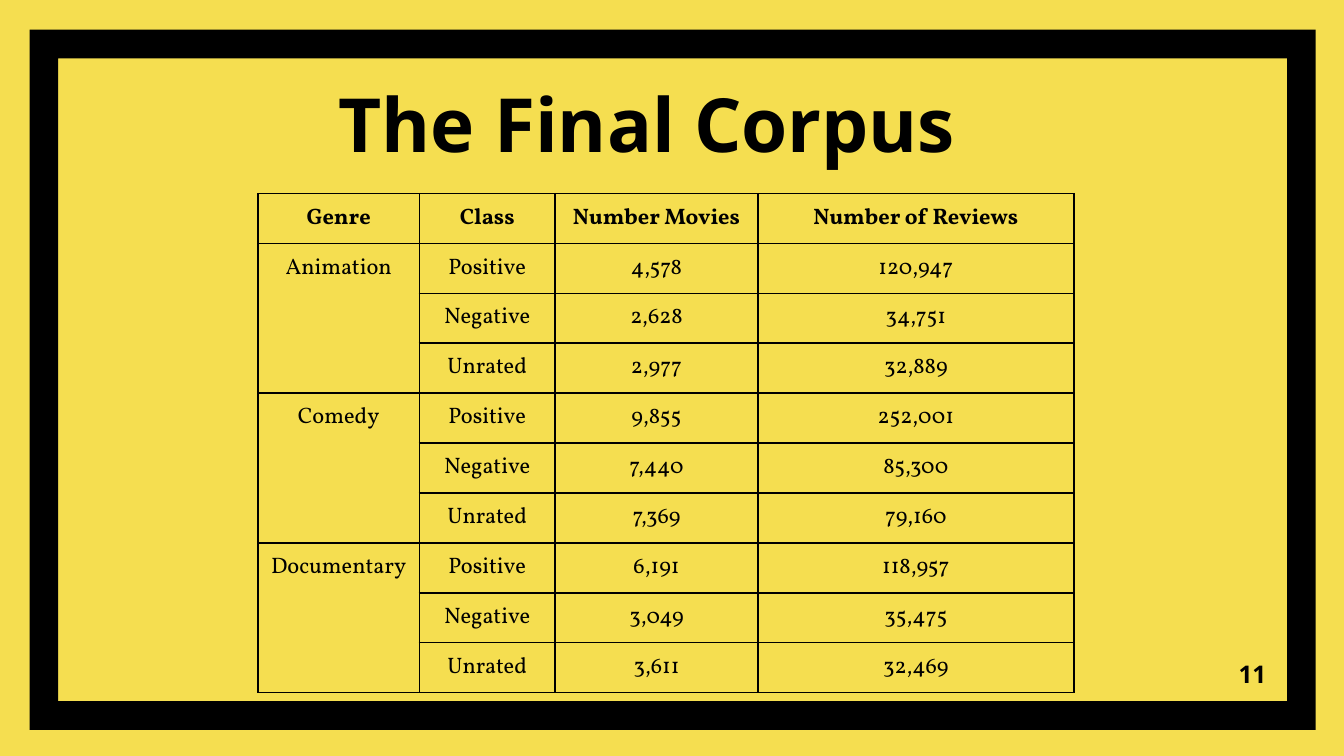
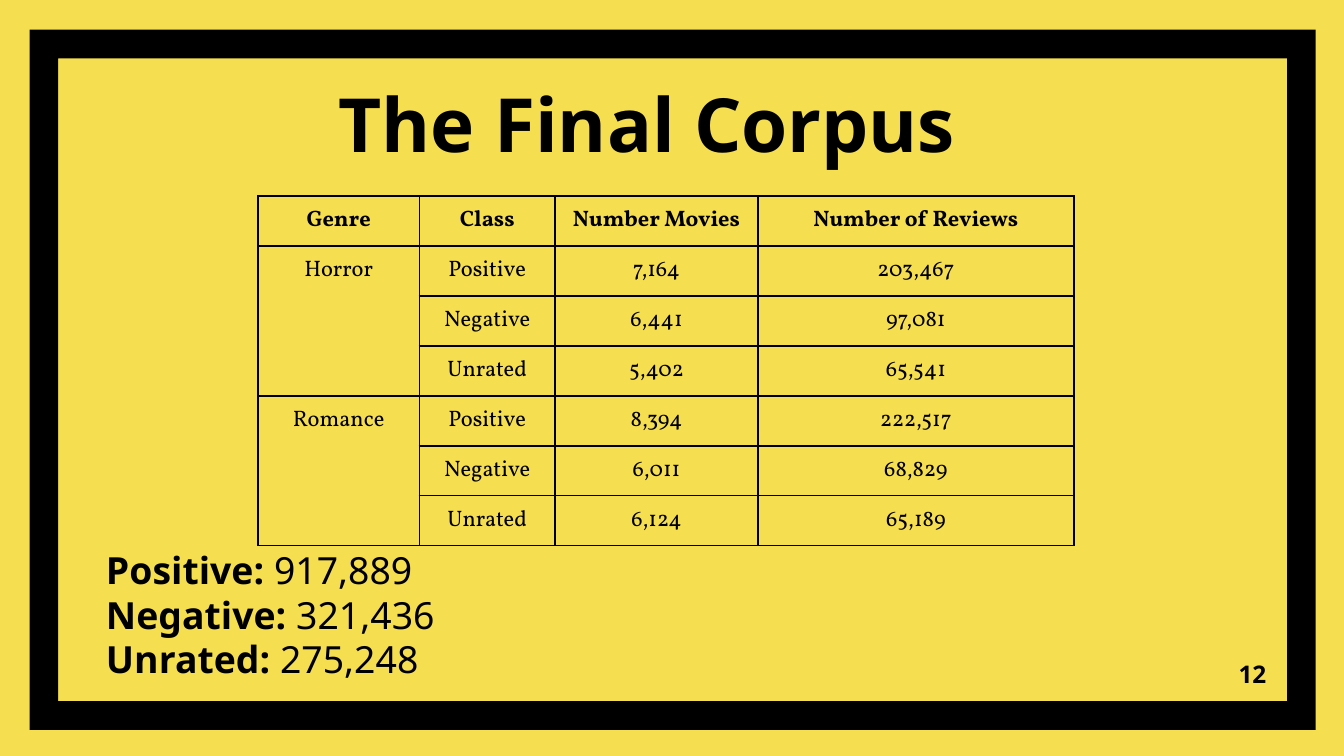
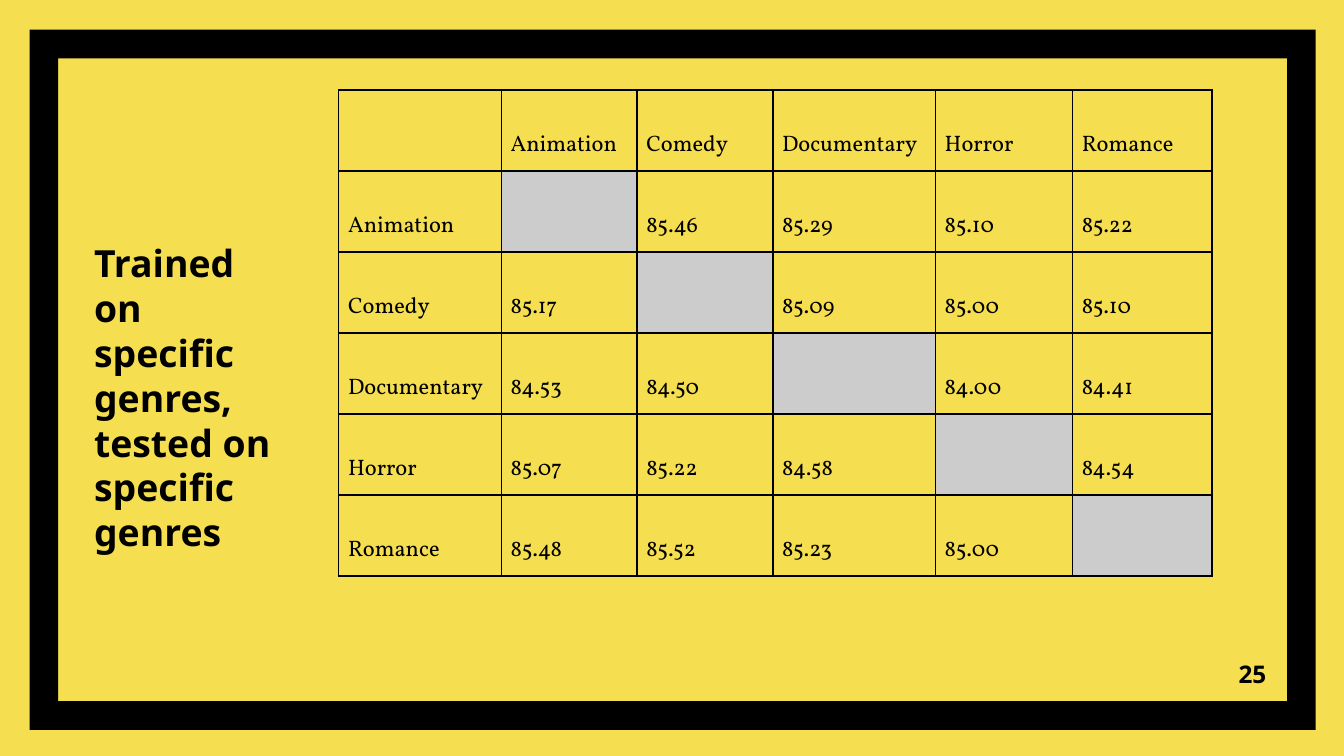
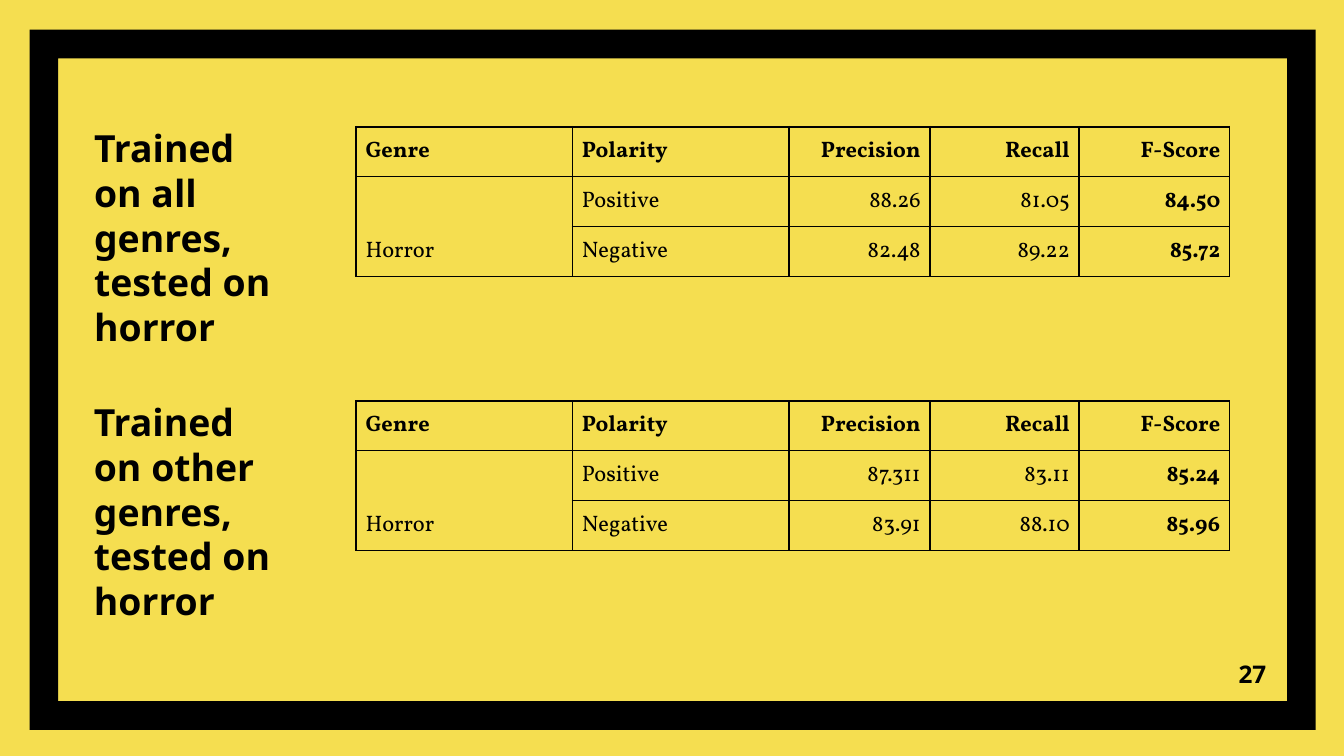
from dataclasses import dataclass

from lxml.etree import SubElement
from pptx import Presentation
from pptx.dml.color import RGBColor
from pptx.enum.shapes import MSO_SHAPE
from pptx.enum.text import MSO_ANCHOR, MSO_AUTO_SIZE, PP_ALIGN
from pptx.oxml.ns import qn
from pptx.util import Inches, Pt

WIDTH = Inches(10)
HEIGHT = WIDTH * 9 // 16
YELLOW, BLACK, GREY = "F5DE50", "000000", "CCCCCC"
HEADING_FONT, TABLE_FONT = "Noto Sans", "Vollkorn"
LEFT, CENTER, RIGHT = PP_ALIGN.LEFT, PP_ALIGN.CENTER, PP_ALIGN.RIGHT
TITLE_ONLY = 5
ROW, TALL_ROW = 6.58, 10.72

CLASSES = ("Positive", "Negative", "Unrated")
CORPUS_HEADER = ("Genre", "Class", "Number Movies", "Number of Reviews")
CORPUS_COLUMNS = (12, 10.1, 15.1, 23.5)
FIRST_GENRES = {
    "Animation": (("4,578", "120,947"), ("2,628", "34,751"), ("2,977", "32,889")),
    "Comedy": (("9,855", "252,001"), ("7,440", "85,300"), ("7,369", "79,160")),
    "Documentary": (("6,191", "118,957"), ("3,049", "35,475"), ("3,611", "32,469")),
}
LAST_GENRES = {
    "Horror": (("7,164", "203,467"), ("6,441", "97,081"), ("5,402", "65,541")),
    "Romance": (("8,394", "222,517"), ("6,011", "68,829"), ("6,124", "65,189")),
}
TOTALS = ("917,889", "321,436", "275,248")

CROSS_COLUMNS = (12.1, 10.1, 10.1, 12.1, 10.2, 10.4)
CROSS_SCORES = {
    "Animation": ("", "85.46", "85.29", "85.10", "85.22"),
    "Comedy": ("85.17", "", "85.09", "85.00", "85.10"),
    "Documentary": ("84.53", "84.50", "", "84.00", "84.41"),
    "Horror": ("85.07", "85.22", "84.58", "", "84.54"),
    "Romance": ("85.48", "85.52", "85.23", "85.00", ""),
}

TRIAL_HEADER = ("Genre", "Polarity", "Precision", "Recall", "F-Score")
TRIAL_COLUMNS = (16.1, 16.1, 10.5, 11.1, 11.2)
ALL_GENRES = (("88.26", "81.05", "84.50"), ("82.48", "89.22", "85.72"))
OTHER_GENRES = (("87.311", "83.11", "85.24"), ("83.91", "88.10", "85.96"))


@dataclass
class Box:
    """A region in percent of the slide's width and height."""
    left: float
    top: float
    width: float
    height: float

    def emu(self):
        """Return the region as absolute lengths."""
        return (across(self.left), down(self.top),
                across(self.width), down(self.height))


def across(percent):
    """Turn a share of the slide's width into a length."""
    return round(WIDTH * percent / 100)


def down(percent):
    """Turn a share of the slide's height into a length."""
    return round(HEIGHT * percent / 100)


def paint(fill, colour):
    """Fill with a solid hex colour."""
    fill.solid()
    fill.fore_color.rgb = RGBColor.from_string(colour)


def add_run(paragraph, text, size, bold=True, font=HEADING_FONT):
    """Append one styled run to a paragraph."""
    run = paragraph.add_run()
    run.text = text
    run.font.size = Pt(size)
    run.font.bold = bold
    run.font.name = font
    run.font.color.rgb = RGBColor.from_string(BLACK)


def write(holder, box, lines, size, align=LEFT, anchor=MSO_ANCHOR.TOP):
    """Place a text holder and write lines made of (text, bold) runs."""
    holder.left, holder.top, holder.width, holder.height = box.emu()
    frame = holder.text_frame
    frame.word_wrap = True
    frame.auto_size = MSO_AUTO_SIZE.NONE
    frame.vertical_anchor = anchor
    frame.margin_left = frame.margin_right = Inches(0.1)
    frame.margin_top = frame.margin_bottom = Inches(0.1)
    for index, runs in enumerate(lines):
        paragraph = frame.add_paragraph() if index else frame.paragraphs[0]
        paragraph.alignment = align
        for text, bold in runs:
            add_run(paragraph, text, size, bold)


def add_text(slide, box, lines, size, **style):
    """Add a text box in the given region."""
    write(slide.shapes.add_textbox(*box.emu()), box, lines, size, **style)


def add_borders(cell):
    """Draw a thin black line on each side of a cell."""
    properties = cell._tc.get_or_add_tcPr()
    for side in ("a:lnL", "a:lnR", "a:lnT", "a:lnB"):
        line = SubElement(properties, qn(side), w=str(Pt(1)))
        SubElement(SubElement(line, qn("a:solidFill")), qn("a:srgbClr"), val=BLACK)


def add_grid(slide, left, top, columns, row_height, rows, aligns,
             bold=lambda row, column: row == 0, spacing=None, gap=None):
    """Add a bordered table and return it."""
    box = Box(left, top, sum(columns), row_height * len(rows))
    table = slide.shapes.add_table(len(rows), len(columns), *box.emu()).table
    table.first_row = table.horz_banding = False
    for column, width in zip(table.columns, columns):
        column.width = across(width)
    for r, texts in enumerate(rows):
        table.rows[r].height = down(row_height)
        for c, text in enumerate(texts):
            cell = table.cell(r, c)
            cell.margin_left = cell.margin_right = Inches(0.07)
            cell.margin_top = cell.margin_bottom = Inches(0.07)
            add_borders(cell)
            cell.fill.background()
            paragraph = cell.text_frame.paragraphs[0]
            paragraph.alignment = aligns[c]
            if spacing:
                paragraph.line_spacing = spacing
            if gap:
                paragraph.space_after = Pt(gap)
            if text:
                add_run(paragraph, text, 12, bold(r, c), TABLE_FONT)
    return table


def add_page(prs, number, title, box, size):
    """Add a slide with its title and page number."""
    slide = prs.slides.add_slide(prs.slide_layouts[TITLE_ONLY])
    write(slide.shapes.title, box, [[(title, True)]], size)
    add_text(slide, Box(89.2, 85.33, 6, 7.64), [[(str(number), True)]], 13,
             align=RIGHT, anchor=MSO_ANCHOR.MIDDLE)
    return slide


def style_master(prs, slide):
    """Give the master its yellow ground and black frame."""
    master = prs.slide_master
    paint(master.background.fill, YELLOW)
    border = slide.shapes.add_shape(MSO_SHAPE.FRAME, *Box(2.2, 3.91, 95.7, 92.62).emu())
    border.adjustments[0] = 0.041
    border.shadow.inherit = False
    paint(border.fill, BLACK)
    border.line.fill.background()
    border.element.nvSpPr.cNvPr.set("id", "20")
    master.shapes.element.insert(2, border.element)


def corpus_slide(prs, number, top, genres):
    """Show the movie and review counts of some genres."""
    slide = add_page(prs, number, "The Final Corpus", Box(24.2, 8.53, 52.4, 13.16), 40)
    rows = [CORPUS_HEADER]
    for genre, counts in genres.items():
        for index, (label, pair) in enumerate(zip(CLASSES, counts)):
            rows.append(("" if index else genre, label, *pair))
    table = add_grid(slide, 19.2, top, CORPUS_COLUMNS, ROW, rows, [CENTER] * 4)
    for first in range(1, len(rows), len(CLASSES)):
        table.cell(first, 0).merge(table.cell(first + len(CLASSES) - 1, 0))
    return slide


def add_totals(slide, box):
    """List the reviews of each class over all genres."""
    lines = [[(f"{label}: ", True), (total, False)] for label, total in zip(CLASSES, TOTALS)]
    add_text(slide, box, lines, 20)


def cross_slide(prs, number):
    """Show the scores of each training genre on each test genre."""
    slide = add_page(prs, number, "Trained on specific genres, tested on specific genres",
                     Box(6, 30.04, 16.5, 39.82), 20)
    rows = [("", *CROSS_SCORES)]
    rows += [(genre, *scores) for genre, scores in CROSS_SCORES.items()]
    table = add_grid(slide, 25.2, 11.91, CROSS_COLUMNS, TALL_ROW, rows, [LEFT] * 6,
                     bold=lambda row, column: False, spacing=2.0, gap=10)
    for index in range(1, len(rows)):
        paint(table.cell(index, index).fill, GREY)


def add_trial(slide, caption_box, results):
    """Put the results on horror to the right of their caption."""
    rows = [TRIAL_HEADER]
    for index, scores in enumerate(results):
        rows.append(("" if index else "Horror", CLASSES[index], *scores))
    table = add_grid(slide, caption_box.left + 20.5, caption_box.top + 2, TRIAL_COLUMNS,
                     ROW, rows, [LEFT] * 2 + [RIGHT] * 3,
                     bold=lambda row, column: row == 0 or column == 4, gap=10)
    table.cell(1, 0).merge(table.cell(2, 0))
    table.cell(1, 0).vertical_anchor = MSO_ANCHOR.BOTTOM


def horror_slide(prs, number):
    """Compare two ways of training for horror."""
    upper, lower = (Box(6, top, 16.5, 39.82) for top in (14.76, 51.02))
    slide = add_page(prs, number, "Trained on all genres, tested on horror", upper, 20)
    add_trial(slide, upper, ALL_GENRES)
    add_text(slide, lower, [[("Trained on other genres, tested on horror", True)]], 20)
    add_trial(slide, lower, OTHER_GENRES)


def main():
    """Build and save the slides."""
    prs = Presentation()
    prs.slide_width, prs.slide_height = WIDTH, HEIGHT
    style_master(prs, corpus_slide(prs, 11, 25.6, FIRST_GENRES))
    add_totals(corpus_slide(prs, 12, 25.96, LAST_GENRES), Box(6.9, 70.58, 29.2, 16.89))
    cross_slide(prs, 25)
    horror_slide(prs, 27)
    prs.save("out.pptx")


if __name__ == "__main__":
    main()
